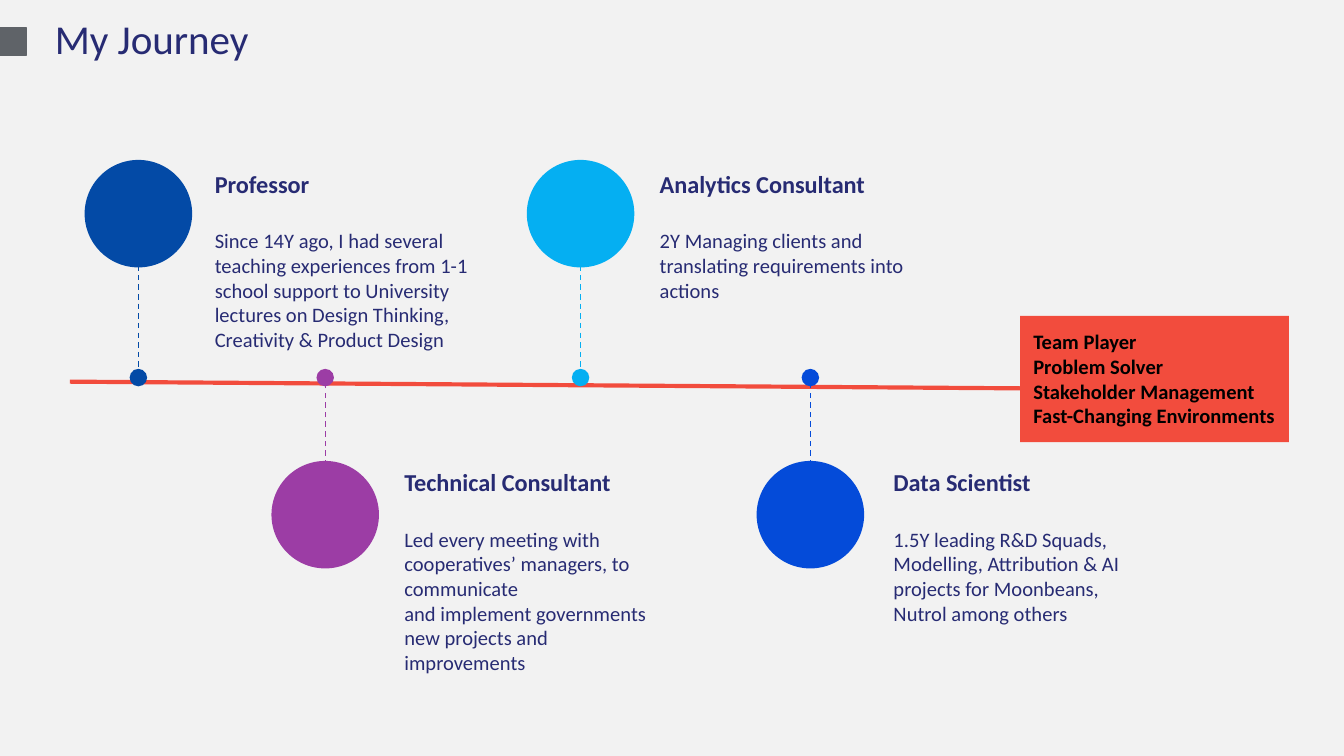
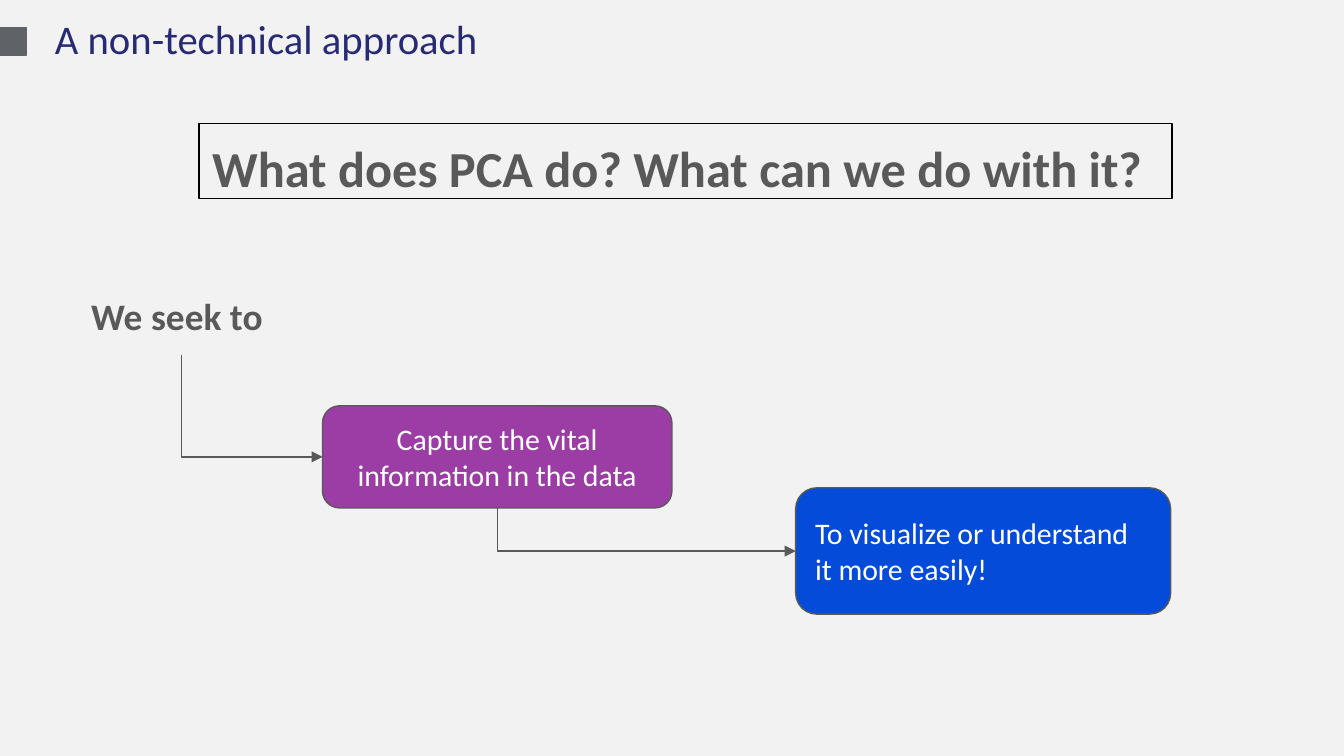
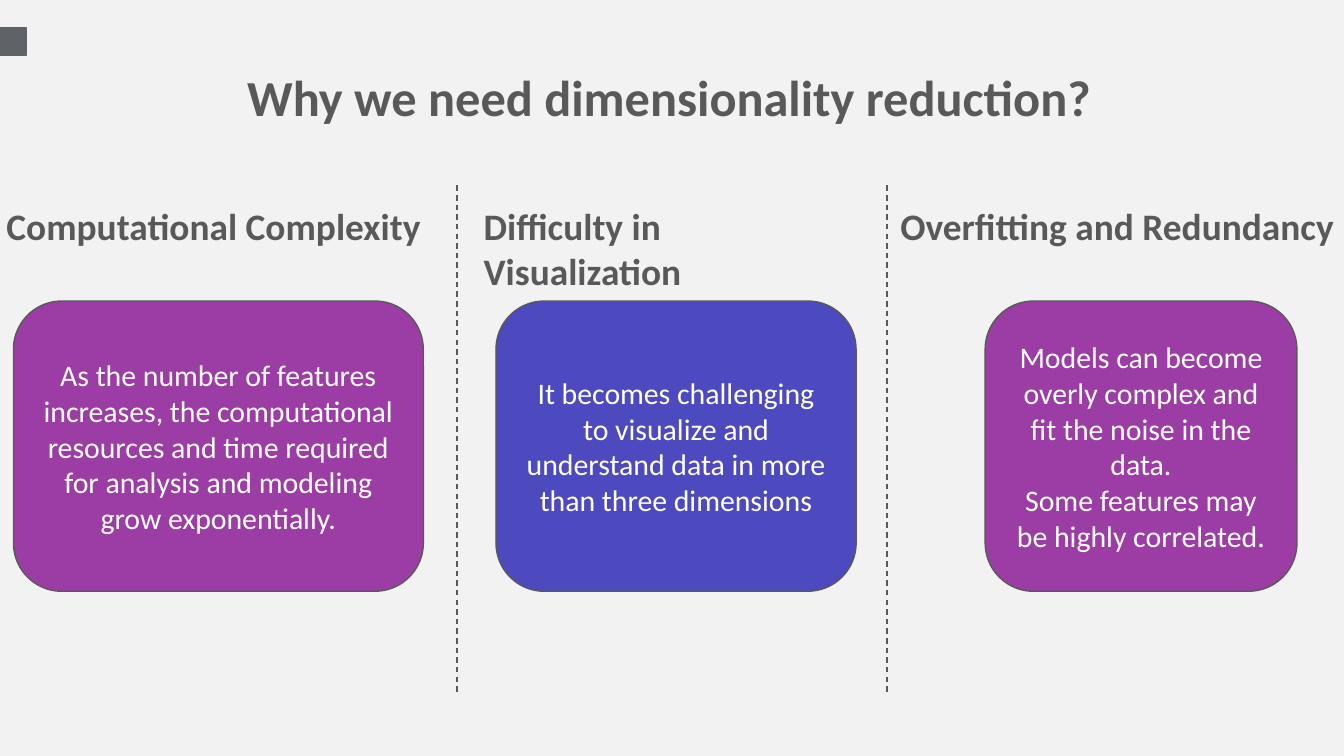
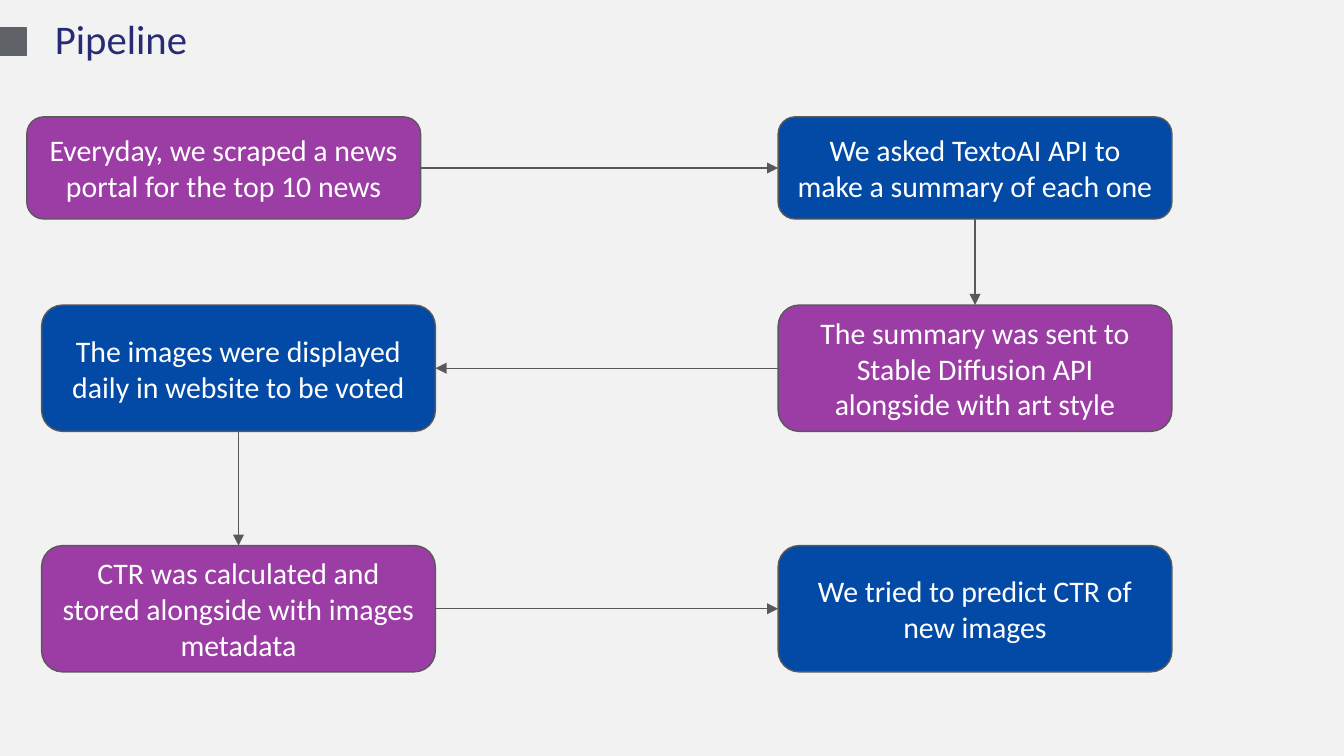
"""Build four slides: a career timeline, two PCA explainers and a pipeline."""
from lxml import etree
from pptx import Presentation
from pptx.dml.color import RGBColor
from pptx.enum.dml import MSO_LINE
from pptx.enum.shapes import MSO_CONNECTOR, MSO_SHAPE
from pptx.enum.text import MSO_ANCHOR, PP_ALIGN
from pptx.oxml.ns import qn
from pptx.util import Inches, Pt

RECT, ROUND, OVAL = MSO_SHAPE.RECTANGLE, MSO_SHAPE.ROUNDED_RECTANGLE, MSO_SHAPE.OVAL
STRAIGHT, DASH = MSO_CONNECTOR.STRAIGHT, MSO_LINE.DASH
LEFT, CENTER = PP_ALIGN.LEFT, PP_ALIGN.CENTER
TOP, MIDDLE = MSO_ANCHOR.TOP, MSO_ANCHOR.MIDDLE
TOP_SIDE, LEFT_SIDE, BOTTOM_SIDE, RIGHT_SIDE = range(4)

FONT = "Calibri"
PAPER, BAND, NAVY, GREY = "F2F2F2", "5F6368", "272B73", "595959"
PURPLE, DEEP, ROYAL, SKY = "9C3DA5", "034AA6", "044BD9", "05AFF2"
INDIGO, RED, BLACK, WHITE = "4D49BF", "F24C3D", "000000", "FFFFFF"
W = 10
H = W * 9 / 16

TITLE = dict(size=21.8, color=NAVY)
HEADING = dict(size=13, color=NAVY, bold=True)
BODY = dict(size=11, color=NAVY)
SKILL = dict(size=11, color=BLACK, bold=True)
QUESTION = dict(size=27, color=GREY, bold=True)
LABEL = dict(size=20, color=GREY, bold=True)
CARD = dict(size=16, color=WHITE)

STOPS = [
    (DEEP, 1.03, True, 1.5, 2.36, 1.57, "Professor",
     ["Since 14Y ago, I had several teaching experiences from 1-1 school support to "
      "University lectures on Design Thinking, Creativity & Product Design"]),
    (PURPLE, 2.42, False, 2.91, 2.08, 1.94, "Technical Consultant",
     ["Led every meeting with cooperatives’ managers, to communicate",
      "and implement governments new projects and improvements"]),
    (SKY, 4.32, True, 4.81, 2.19, 1.2, "Analytics Consultant",
     ["2Y Managing clients and translating requirements into actions"]),
    (ROYAL, 6.03, False, 6.55, 1.94, 1.38, "Data Scientist",
     ["1.5Y leading R&D Squads, Modelling, Attribution & AI projects for Moonbeans, "
      "Nutrol among others"]),
]
SKILLS = ["Team Player", "Problem Solver", "Stakeholder Management",
          "Fast-Changing Environments"]

REASONS = [
    ("Computational Complexity", -0.05, 3.36, 0.1, 3.05, PURPLE,
     ["As the number of features increases, the computational resources and time "
      "required for analysis and modeling grow exponentially."]),
    ("Difficulty in Visualization", 3.5, 3.05, 3.69, 2.68, INDIGO,
     ["It becomes challenging to visualize and understand data in more than three "
      "dimensions"]),
    ("Overfitting and Redundancy", 6.6, 3.59, 7.33, 2.32, PURPLE,
     ["Models can become overly complex and fit the noise in the data.",
      "Some features may be highly correlated."]),
]
DIVIDERS = [3.4, 6.6]

STEP_W, STEP_LEFT, STEP_RIGHT = 2.93, 0.31, 5.79
STEPS = [
    (0.2, 0.87, 0.76, PURPLE, "Everyday, we scraped a news portal for the top 10 news"),
    (STEP_RIGHT, 0.87, 0.76, DEEP, "We asked TextoAI API to make a summary of each one"),
    (STEP_RIGHT, 2.27, 0.94, PURPLE,
     "The summary was sent to Stable Diffusion API alongside with art style"),
    (STEP_LEFT, 2.27, 0.94, DEEP, "The images were displayed daily in website to be voted"),
    (STEP_LEFT, 4.06, 0.94, PURPLE,
     "CTR was calculated and stored alongside with images metadata"),
    (STEP_RIGHT, 4.06, 0.94, DEEP, "We tried to predict CTR of new images"),
]
STEP_SIDES = [(RIGHT_SIDE, LEFT_SIDE), (BOTTOM_SIDE, TOP_SIDE), (LEFT_SIDE, RIGHT_SIDE),
              (BOTTOM_SIDE, TOP_SIDE), (RIGHT_SIDE, LEFT_SIDE)]


def rgb(value):
    return RGBColor.from_string(value)


def box_of(*lengths):
    return [Inches(v) for v in lengths]


def write(sp, rows, align=LEFT, anchor=TOP):
    """Fill a shape with (text, style) rows; a style may hold its own space before."""
    tf = sp.text_frame
    frame = dict(word_wrap=True, vertical_anchor=anchor)
    frame.update({f"margin_{side}": Inches(0.1) for side in ("left", "top", "right", "bottom")})
    for name, value in frame.items():
        setattr(tf, name, value)
    for i, (text, style) in enumerate(rows):
        p = tf.add_paragraph() if i else tf.paragraphs[0]
        p.alignment = align
        p.space_before = Pt(style.get("before", 0))
        r = p.add_run()
        r.text = text
        for name, value in dict(name=FONT, size=Pt(style["size"]),
                                bold=style.get("bold", False)).items():
            setattr(r.font, name, value)
        r.font.color.rgb = rgb(style["color"])


def add_text(s, at, rows):
    write(s.shapes.add_textbox(*box_of(*at)), rows)


def add_shape(s, kind, at, fill=None, line=None):
    sp = s.shapes.add_shape(kind, *box_of(*at))
    sp.shadow.inherit = False
    if fill:
        sp.fill.solid()
        sp.fill.fore_color.rgb = rgb(fill)
    else:
        sp.fill.background()
    if line:
        sp.line.color.rgb = rgb(line)
        sp.line.width = Pt(0.75)
    else:
        sp.line.fill.background()
    return sp


def add_card(s, at, fill, texts, align=CENTER):
    sp = add_shape(s, ROUND, at, fill, GREY)
    write(sp, [(t, CARD) for t in texts], align, MIDDLE)
    return sp


def add_line(s, start, end, color=GREY, width=0.75, dash=None, arrow=False):
    c = s.shapes.add_connector(STRAIGHT, *box_of(*start, *end))
    c.line.color.rgb = rgb(color)
    c.line.width = Pt(width)
    if dash:
        c.line.dash_style = dash
    if arrow:
        etree.SubElement(c.line._get_or_add_ln(), qn("a:tailEnd"), type="triangle")
    etree.SubElement(c._element.spPr, qn("a:effectLst"))
    return c


def add_bend(s, start, end):
    """Draw an arrow that runs down and then right."""
    (x1, y1), (x2, y2) = start, end
    dx, dy = x2 - x1, y2 - y1
    c = add_line(s, start, end, arrow=True)
    frame = box_of((x1 + x2 - dy) / 2, (y1 + y2 - dx) / 2, dy, dx)
    for name, value in zip(("left", "top", "width", "height"), frame):
        setattr(c, name, value)
    spPr = c._element.spPr
    xfrm = spPr.find(qn("a:xfrm"))
    xfrm.set("rot", str(270 * 60000))
    xfrm.set("flipH", "1")
    spPr.find(qn("a:prstGeom")).set("prst", "bentConnector2")


def new_slide(prs, title=None, width=0, **changes):
    s = prs.slides.add_slide(prs.slide_layouts[6])
    s.background.fill.solid()
    s.background.fill.fore_color.rgb = rgb(PAPER)
    add_shape(s, RECT, (0, 0.21, 0.2, 0.2), BAND, BAND)
    if title:
        add_text(s, (0.31, 0, width, 0.63), [(title, TITLE | changes)])
    return s


def journey(prs):
    s = new_slide(prs, "My Journey", 3.45, size=22)
    big, dot, axis_y = 0.8, 0.13, 2.81
    add_line(s, (0.52, 2.84), (7.62, 2.89), RED, 2.25)
    for color, x, above, text_x, text_w, text_h, heading, body in STOPS:
        y, text_y = (1.19, 1.16) if above else (3.43, 3.38)
        add_line(s, (x, 1.4 if above else 3.75), (x, axis_y), color, dash=DASH)
        add_shape(s, OVAL, (x - big / 2, y, big, big), color)
        add_shape(s, OVAL, (x - dot / 2, axis_y - dot / 2, dot, dot), color)
        rows = [(heading, HEADING), (body[0], dict(BODY, before=16))]
        add_text(s, (text_x, text_y, text_w, text_h), rows + [(t, BODY) for t in body[1:]])
    write(add_shape(s, RECT, (7.59, 2.35, 2, 0.94), RED), [(t, SKILL) for t in SKILLS])


def approach(prs):
    s = new_slide(prs, "A non-technical approach", 4.59)
    add_text(s, (0.58, 2.08, 1.55, 0.56), [("We seek to", LABEL)])
    add_card(s, (2.4, 3.02, 2.6, 0.76), PURPLE, ["Capture the vital information in the data"])
    add_card(s, (5.92, 3.63, 2.79, 0.94), ROYAL,
             ["To visualize or understand it more easily!"], LEFT)
    add_bend(s, (1.35, 2.64), (2.4, 3.4))
    add_bend(s, (3.7, 3.78), (5.92, 4.1))
    write(add_shape(s, RECT, (1.48, 0.92, 7.24, 0.56), line=BLACK),
          [("What does PCA do? What can we do with it?", QUESTION)])


def reduction(prs):
    s = new_slide(prs)
    add_text(s, (1.74, 0.39, 6.52, 0.75), [("Why we need dimensionality reduction?", QUESTION)])
    for x in DIVIDERS:
        add_line(s, (x, 1.38), (x, 5.16), dash=DASH)
    for label, label_x, label_w, x, w, fill, texts in REASONS:
        add_text(s, (label_x, 1.41, label_w, 0.56), [(label, LABEL)])
        add_card(s, (x, 2.24, w, 2.16), fill, texts)


def pipeline(prs):
    s = new_slide(prs, "Pipeline", 1.29)
    cards = [add_card(s, (x, y, STEP_W, h), fill, [text]) for x, y, h, fill, text in STEPS]
    for before, after, (out_side, in_side) in zip(cards, cards[1:], STEP_SIDES):
        c = add_line(s, (0, 0), (1, 1), arrow=True)
        c.begin_connect(before, out_side)
        c.end_connect(after, in_side)


def main():
    prs = Presentation()
    prs.slide_width, prs.slide_height = box_of(W, H)
    for build in (journey, approach, reduction, pipeline):
        build(prs)
    prs.save("out.pptx")


if __name__ == "__main__":
    main()
